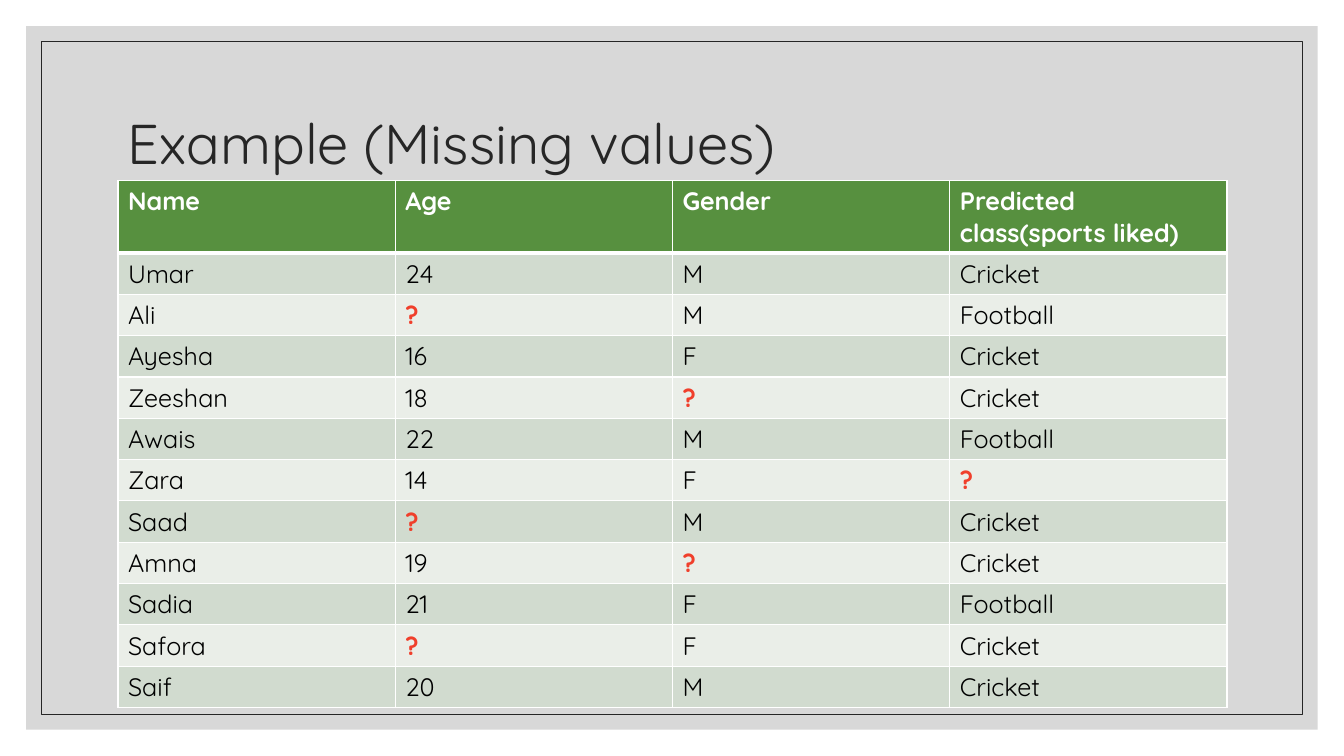
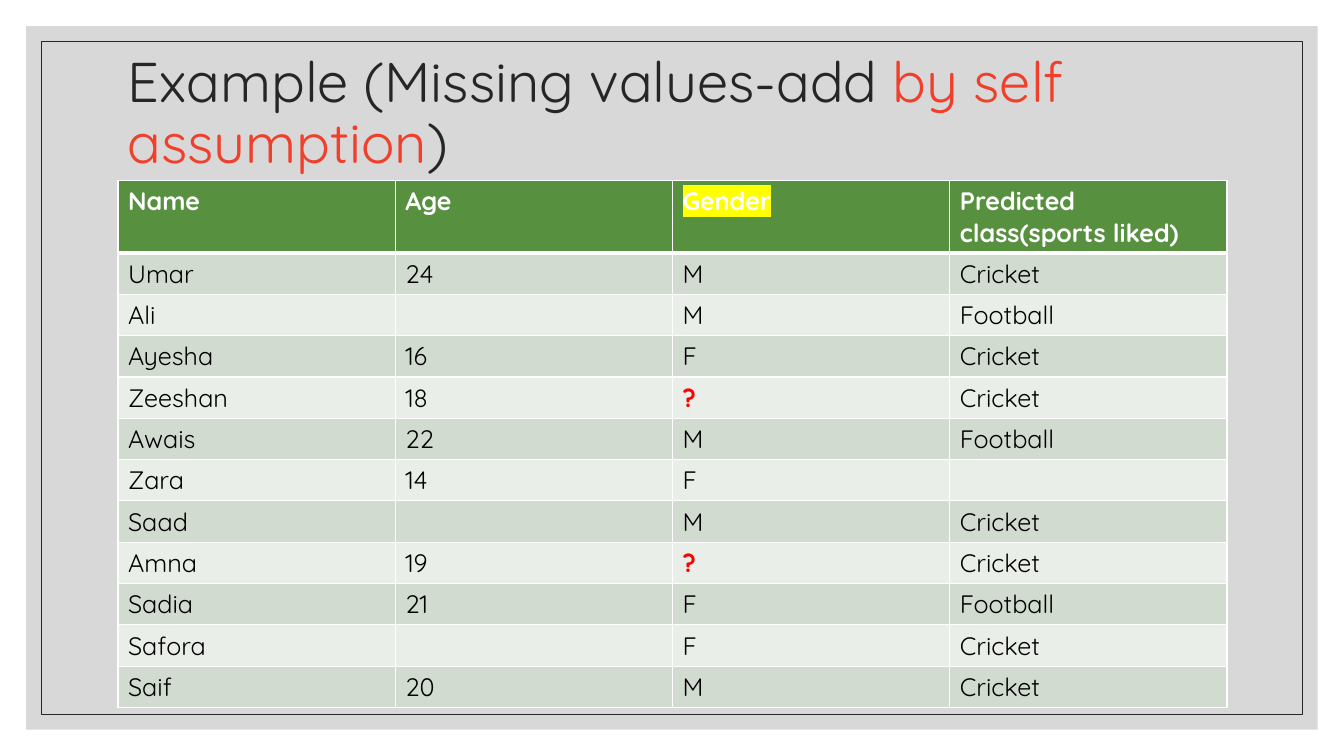
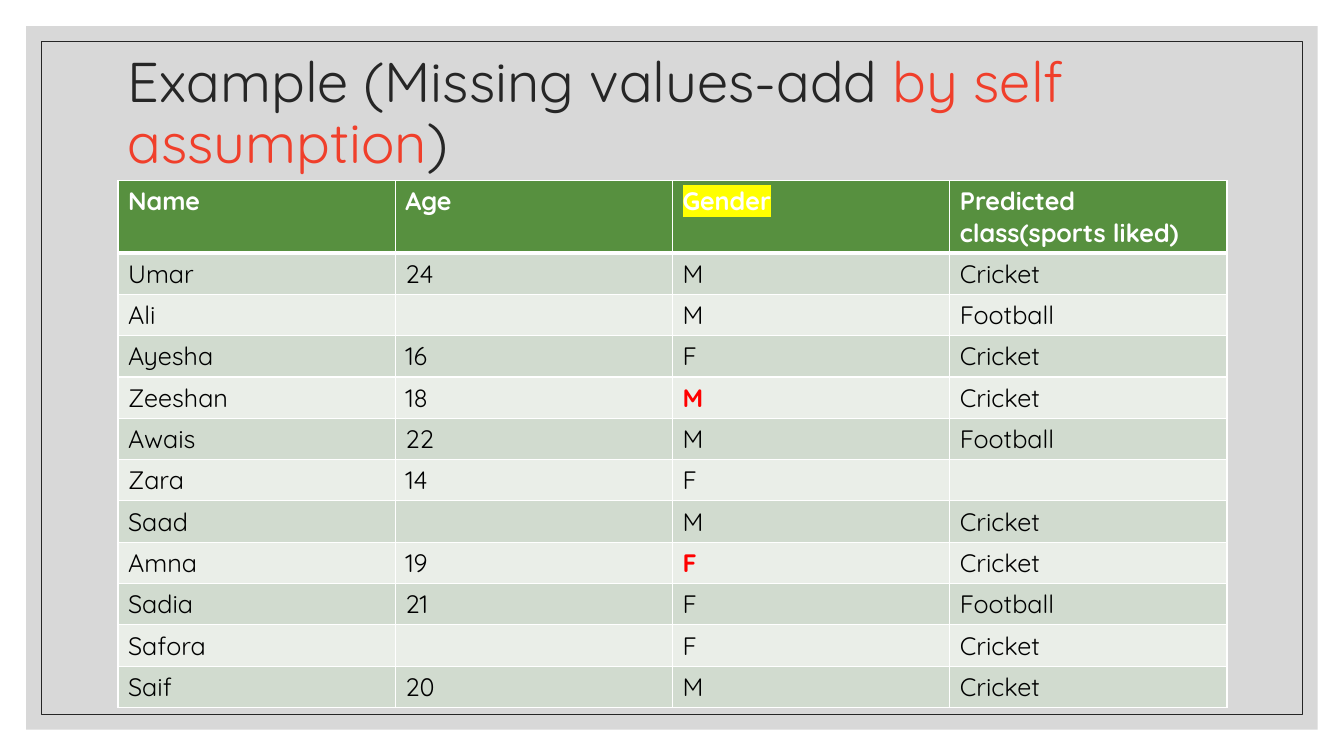
from pptx import Presentation
from pptx.dml.color import RGBColor
from pptx.enum.shapes import MSO_SHAPE
from pptx.enum.text import MSO_ANCHOR
from pptx.oxml.ns import qn
from pptx.util import Inches, Pt
from lxml.etree import Element, SubElement

FONT = "Quicksand"
INK, WHITE, BLACK = "262626", "FFFFFF", "000000"
CORAL, RED, YELLOW = "F03F2B", "FF0000", "FFFF00"
GREEN, BANDS = "57903F", ("D1DBCF", "EAEEE8")

HEADS = ("Name", "Age", "Gender", "Predicted class(sports liked)")
PEOPLE = [
    ("Umar", "24", "M", "Cricket"),
    ("Ali", "?", "M", "Football"),
    ("Ayesha", "16", "F", "Cricket"),
    ("Zeeshan", "18", "?", "Cricket"),
    ("Awais", "22", "M", "Football"),
    ("Zara", "14", "F", "?"),
    ("Saad", "?", "M", "Cricket"),
    ("Amna", "19", "?", "Cricket"),
    ("Sadia", "21", "F", "Football"),
    ("Safora", "?", "F", "Cricket"),
    ("Saif", "20", "M", "Cricket"),
]

PLAIN = [("Example (Missing values)", INK)]
SELF = [("Example (Missing values-add ", INK), ("by self assumption", CORAL), (")", INK)]
SLIDES = [
    dict(title=PLAIN, top=0.7, focus=None, guess={}, mark=CORAL),
    dict(title=SELF, top=0.39, focus="Gender", guess={}, mark=RED),
    dict(title=SELF, top=0.39, focus="Gender", guess={"Zeeshan": "M", "Amna": "F"}, mark=RED),
]

LEFT, WIDE = 1.17, 11
TOP, HEAD, ROW = 1.79, 0.72, 0.41


def color(code):
    return RGBColor.from_string(code)


def style(run, size, code, bold=False):
    run.font.size = Pt(size)
    run.font.bold = bold
    run.font.color.rgb = color(code)
    run.font.name = FONT


def glow(run, code):
    mark = Element(qn("a:highlight"))
    SubElement(mark, qn("a:srgbClr"), val=code)
    run.font.fill
    run._r.rPr.find(qn("a:solidFill")).addnext(mark)


def edge(cell, base):
    props = cell._tc.get_or_add_tcPr()
    for spot, side in enumerate("LRTB"):
        width = base if side == "B" else 1
        line = Element(qn("a:ln" + side), w=str(Pt(width)))
        fill = SubElement(line, qn("a:solidFill"))
        SubElement(fill, qn("a:srgbClr"), val=WHITE)
        props.insert(spot, line)


def panel(slide, inset):
    box = slide.shapes.add_shape(
        MSO_SHAPE.RECTANGLE, Inches(inset), Inches(inset),
        Inches(13.33 - 2 * inset), Inches(7.5 - 2 * inset))
    box.shadow.inherit = False
    return box


def frame(slide):
    back = panel(slide, 0.26)
    back.fill.solid()
    back.fill.fore_color.rgb = color("BFBFBF")
    tint = back.fill._xPr.find(qn("a:solidFill"))[0]
    SubElement(tint, qn("a:alpha"), val="60000")
    back.line.fill.background()
    rim = panel(slide, 0.41)
    rim.fill.background()
    rim.line.color.rgb = color(INK)
    rim.line.width = Pt(0.5)


def title(slide, parts, top):
    box = slide.shapes.add_textbox(Inches(LEFT), Inches(top), Inches(WIDE), Inches(1.5))
    text = box.text_frame
    text.word_wrap = True
    text.vertical_anchor = MSO_ANCHOR.MIDDLE
    para = text.paragraphs[0]
    para.line_spacing = 0.9
    for words, code in parts:
        run = para.add_run()
        run.text = words
        style(run, 40, code)


def put(cell, words, fill, code, bold=False, base=1):
    cell.fill.solid()
    cell.fill.fore_color.rgb = color(fill)
    edge(cell, base)
    cell.text_frame.text = words
    for run in cell.text_frame.paragraphs[0].runs:
        style(run, 18, code, bold)


def answer(value, name, head, focus, guess):
    if value != "?" or focus is None:
        return value
    return guess.get(name, "?") if head == focus else ""


def grid(slide, focus, guess, mark):
    count = len(PEOPLE)
    table = slide.shapes.add_table(
        count + 1, len(HEADS), Inches(LEFT), Inches(TOP),
        Inches(WIDE), Inches(HEAD + ROW * count)).table
    for row in table.rows:
        row.height = Inches(ROW)
    table.rows[0].height = Inches(HEAD)
    for col, head in enumerate(HEADS):
        table.columns[col].width = Inches(WIDE / len(HEADS))
        cell = table.cell(0, col)
        put(cell, head, GREEN, WHITE, True, 3)
        if head == focus:
            glow(cell.text_frame.paragraphs[0].runs[0], YELLOW)
        for row, person in enumerate(PEOPLE):
            lost = person[col] == "?"
            words = answer(person[col], person[0], head, focus, guess)
            put(table.cell(row + 1, col), words, BANDS[row % 2],
                mark if lost else BLACK, lost, 1)
            if row == 0:
                top = table.cell(1, col)._tc.tcPr.find(qn("a:lnT"))
                top.set("w", str(Pt(3)))


def main():
    deck = Presentation()
    deck.slide_width, deck.slide_height = Inches(13.33), Inches(7.5)
    for page in SLIDES:
        slide = deck.slides.add_slide(deck.slide_layouts[6])
        frame(slide)
        title(slide, page["title"], page["top"])
        grid(slide, page["focus"], page["guess"], page["mark"])
    deck.save("out.pptx")


if __name__ == "__main__":
    main()
